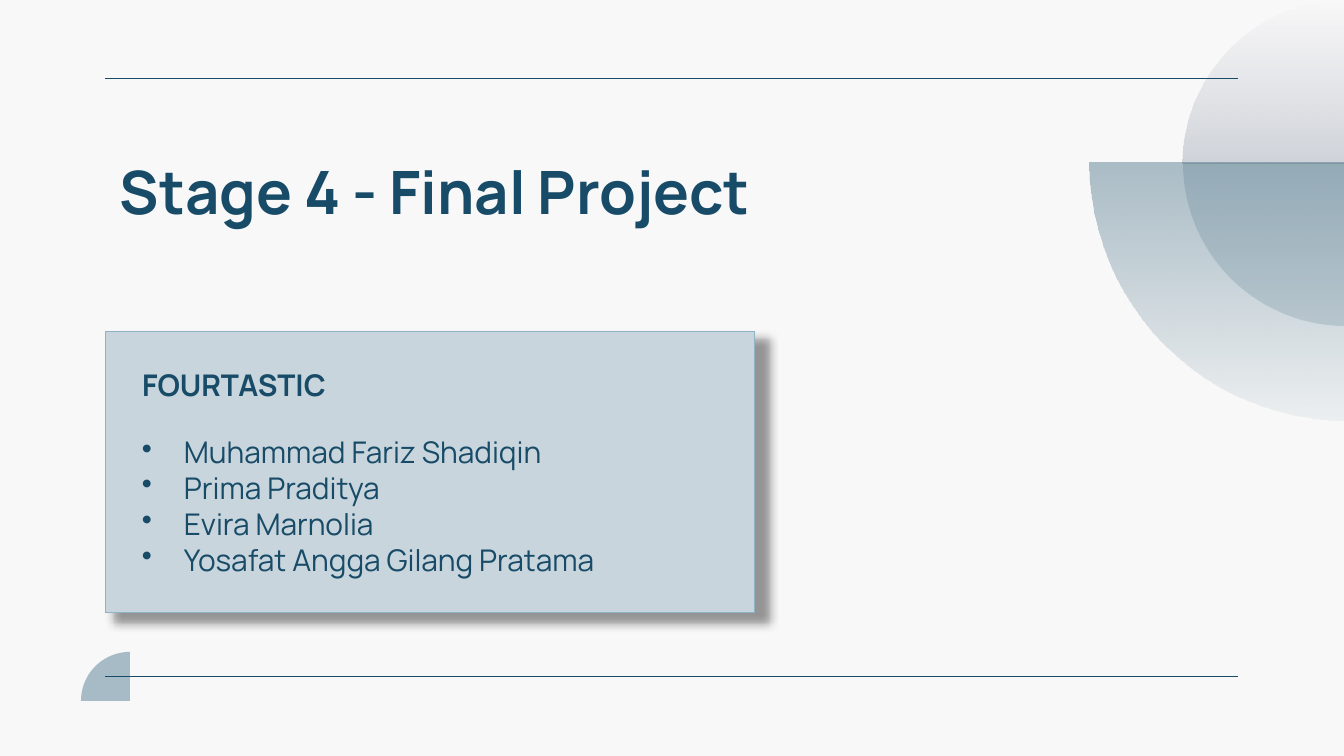
from math import cos, sin, radians
from lxml.etree import Element, SubElement
from pptx import Presentation
from pptx.dml.color import RGBColor
from pptx.enum.shapes import MSO_CONNECTOR, MSO_SHAPE
from pptx.enum.text import MSO_ANCHOR
from pptx.oxml.ns import qn
from pptx.util import Emu, Pt

SCALE = 9144000 / 1344
COLORS = {"back": "F8F8F8", "ink": "174B67", "leaf": "A7BBC7", "card": "C9D5DD",
          "edge": "8FB3C5", "navy": "293F5D", "haze": "4B4F73", "dark": "000000"}
FONT = "Manrope"


def px(n):
    return Emu(round(n * SCALE))


def rgb(name):
    return RGBColor.from_string(COLORS[name])


class Deck:
    def __init__(self):
        self.prs = Presentation()
        self.prs.slide_width, self.prs.slide_height = px(1344), px(756)
        self.slide = self.prs.slides.add_slide(self.prs.slide_layouts[6])
        self.shapes = self.slide.shapes
        fill = self.slide.background.fill
        fill.solid()
        fill.fore_color.rgb = rgb("back")

    def strip(self, shape):
        shape._element.remove(shape._element.find(qn("p:style")))

    def rule(self, x, y, end):
        line = self.shapes.add_connector(MSO_CONNECTOR.STRAIGHT, px(x), px(y), px(end), px(y))
        line.line.color.rgb = rgb("ink")
        SubElement(line._element.spPr, qn("a:effectLst"))
        self.strip(line)

    def wedge(self, x, y, radius, start, stops, angle=0):
        ends = [(round(x + radius * cos(radians(a))), round(y + radius * sin(radians(a))))
                for a in (start, start + 90)]
        form = self.shapes.build_freeform(*ends[0], SCALE)
        form.add_line_segments([ends[1], (x, y)], close=True)
        shape = form.convert_to_shape()
        side = next(shape._element.iter(qn("a:lnTo")))
        arc = Element(qn("a:arcTo"), wR=str(radius), hR=str(radius),
                      stAng=str(start * 60000), swAng="5400000")
        side.getparent().replace(side, arc)
        shape.shadow.inherit = False
        shape.line.fill.background()
        if len(stops) == 1:
            shape.fill.solid()
            shape.fill.fore_color.rgb = rgb(stops[0][0])
        else:
            shape.fill.gradient()
            shape.fill.gradient_angle = angle
            for stop, (name, _) in zip(shape.fill.gradient_stops, stops):
                stop.color.rgb = rgb(name)
        tints = list(shape._element.spPr.iter(qn("a:srgbClr")))
        for tint, (_, alpha) in zip(tints, stops):
            if alpha < 100:
                SubElement(tint, qn("a:alpha"), val=str(alpha * 1000))

    def style(self, para, size, bold):
        for run in para.runs:
            run.font.name = FONT
            run.font.size = Pt(size)
            run.font.bold = bold
            run.font.color.rgb = rgb("ink")

    def inset(self, frame):
        frame.word_wrap = True
        frame.margin_left = frame.margin_right = px(13)
        frame.margin_top = frame.margin_bottom = px(13)

    def title(self, x, y, w, h, text):
        frame = self.shapes.add_textbox(px(x), px(y), px(w), px(h)).text_frame
        self.inset(frame)
        frame.vertical_anchor = MSO_ANCHOR.BOTTOM
        frame.text = text
        self.style(frame.paragraphs[0], 32, True)

    def card(self, x, y, w, h, head, names):
        box = self.shapes.add_shape(MSO_SHAPE.RECTANGLE, px(x), px(y), px(w), px(h))
        box.fill.solid()
        box.fill.fore_color.rgb = rgb("card")
        box.line.color.rgb = rgb("edge")
        self.shade(box)
        self.strip(box)
        frame = box.text_frame
        self.inset(frame)
        frame.vertical_anchor = MSO_ANCHOR.MIDDLE
        frame.text = "\n".join([head, *names])
        first, *rest = frame.paragraphs
        self.style(first, 16, True)
        self.indent(first, 23, 0)
        first.space_after = Pt(17)
        for para in rest:
            self.style(para, 16, False)
            self.indent(para, 65, -42)
            SubElement(para._p.pPr, qn("a:buChar"), char="•")

    def shade(self, shape):
        effects = SubElement(shape._element.spPr, qn("a:effectLst"))
        cast = SubElement(effects, qn("a:outerShdw"), blurRad=str(Pt(5)),
                          dist=str(px(11)), dir="2700000", sx="101000", sy="101000",
                          algn="tl", rotWithShape="0")
        tint = SubElement(cast, qn("a:srgbClr"), val=COLORS["dark"])
        SubElement(tint, qn("a:alpha"), val="40000")

    def indent(self, para, left, hang):
        props = para._p.get_or_add_pPr()
        props.set("algn", "l")
        props.set("marL", str(px(left)))
        props.set("indent", str(px(hang)))


def main():
    deck = Deck()
    deck.wedge(130, 701, 49, 180, [("leaf", 100)])
    for y in (79, 677):
        deck.rule(106, y, 1238)
    deck.title(107, 114, 935, 126, "Stage 4 - Final Project")
    deck.card(106, 331, 649, 282, "FOURTASTIC",
              ["Muhammad Fariz Shadiqin", "Prima Praditya",
               "Evira Marnolia", "Yosafat Angga Gilang Pratama"])
    deck.wedge(1346, 163, 257, 90, [("ink", 35), ("ink", 5)], 270)
    deck.wedge(1346, 163, 163, 90, [("ink", 15)])
    deck.wedge(1346, 163, 163, 180, [("navy", 20), ("haze", 0)], 90)
    deck.prs.save("out.pptx")


if __name__ == "__main__":
    main()
